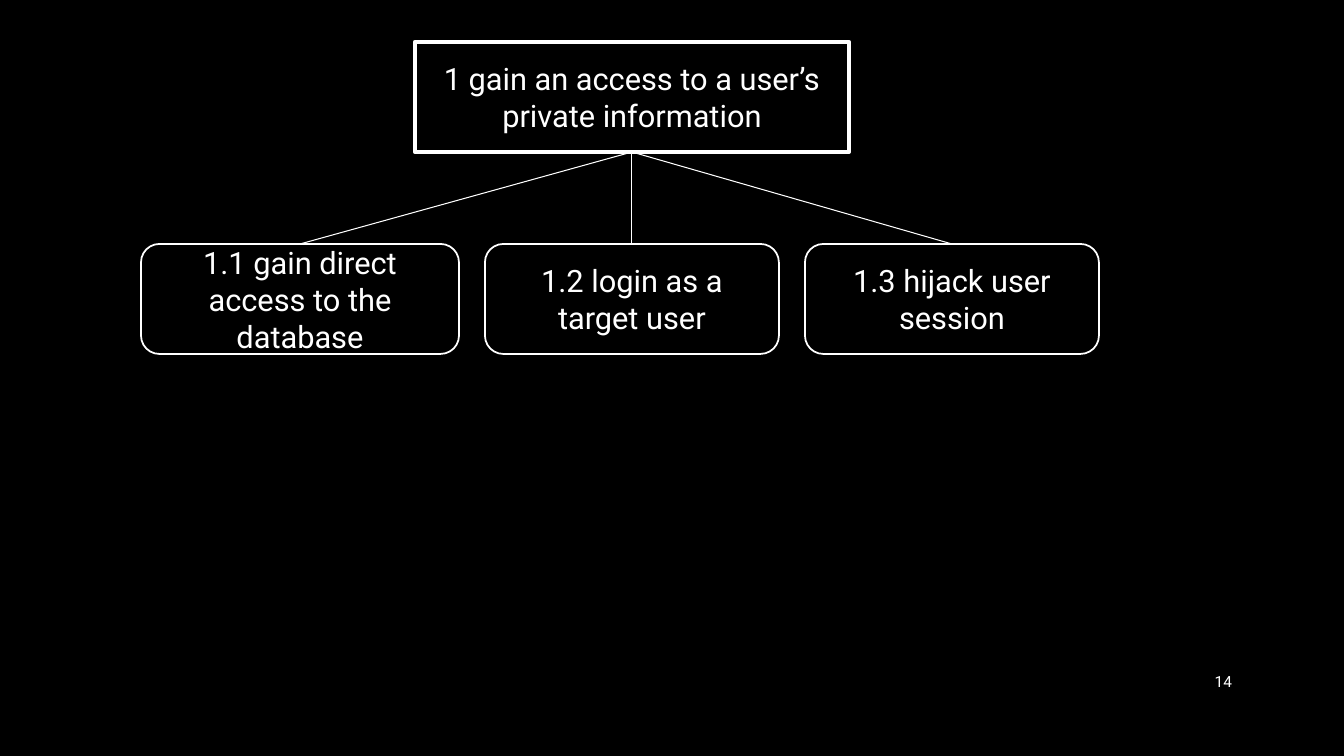
from pptx import Presentation
from pptx.dml.color import RGBColor
from pptx.enum.shapes import MSO_CONNECTOR, MSO_SHAPE
from pptx.enum.text import MSO_ANCHOR, PP_ALIGN
from pptx.oxml.ns import qn
from pptx.util import Pt
from lxml import etree

PX = 914400 / 100.8
BLACK = RGBColor(0x00, 0x00, 0x00)
WHITE = RGBColor(0xFF, 0xFF, 0xFF)
FONT = "Roboto"
RECT, ROUNDED = MSO_SHAPE.RECTANGLE, MSO_SHAPE.ROUNDED_RECTANGLE
STRAIGHT = MSO_CONNECTOR.STRAIGHT
MIDDLE = MSO_ANCHOR.MIDDLE
CENTER, RIGHT = PP_ALIGN.CENTER, PP_ALIGN.RIGHT
TOP_SIDE, BOTTOM_SIDE = 0, 2

prs = Presentation()
prs.slide_width, prs.slide_height = round(1344 * PX), round(756 * PX)
slide = prs.slides.add_slide(prs.slide_layouts[6])
slide.background.fill.solid()
slide.background.fill.fore_color.rgb = BLACK


def write(shape, text, size, align):
    frame = shape.text_frame
    frame.word_wrap = True
    frame.vertical_anchor = MIDDLE
    frame.text = text
    paragraph = frame.paragraphs[0]
    paragraph.alignment = align
    font = paragraph.runs[0].font
    font.name, font.size = FONT, Pt(size)
    font.color.rgb = WHITE


def add_node(kind, left, top, width, text, line_width):
    box = [round(v * PX) for v in (left, top, width, 110)]
    node = slide.shapes.add_shape(kind, *box)
    node.shadow.inherit = False
    node.fill.solid()
    node.fill.fore_color.rgb = BLACK
    node.line.color.rgb = WHITE
    node.line.width = Pt(line_width)
    write(node, text, 22, CENTER)
    return node


# Page number
page_number = slide.shapes.add_textbox(*[round(v * PX) for v in (1159, 661, 83, 40)])
write(page_number, "14", 11, RIGHT)

# Goal at the root of the attack tree
goal = add_node(RECT, 415, 42, 434, "1 gain an access to a user’s private information", 3)

# Subgoals in a row, each joined to the goal
subgoals = [
    ("1.1 gain direct access to the database", 318),
    ("1.2 login as a target user", 294),
    ("1.3 hijack user session", 294),
]
left, gap = 141, 26
for text, width in subgoals:
    subgoal = add_node(ROUNDED, left, 244, width, text, 1.25)
    branch = slide.shapes.add_connector(STRAIGHT, 0, 0, 0, 0)
    branch.begin_connect(goal, BOTTOM_SIDE)
    branch.end_connect(subgoal, TOP_SIDE)
    branch.line.color.rgb = WHITE
    branch.line.width = Pt(0.75)
    etree.SubElement(branch._element.spPr, qn("a:effectLst"))
    left += width + gap

prs.save("out.pptx")
